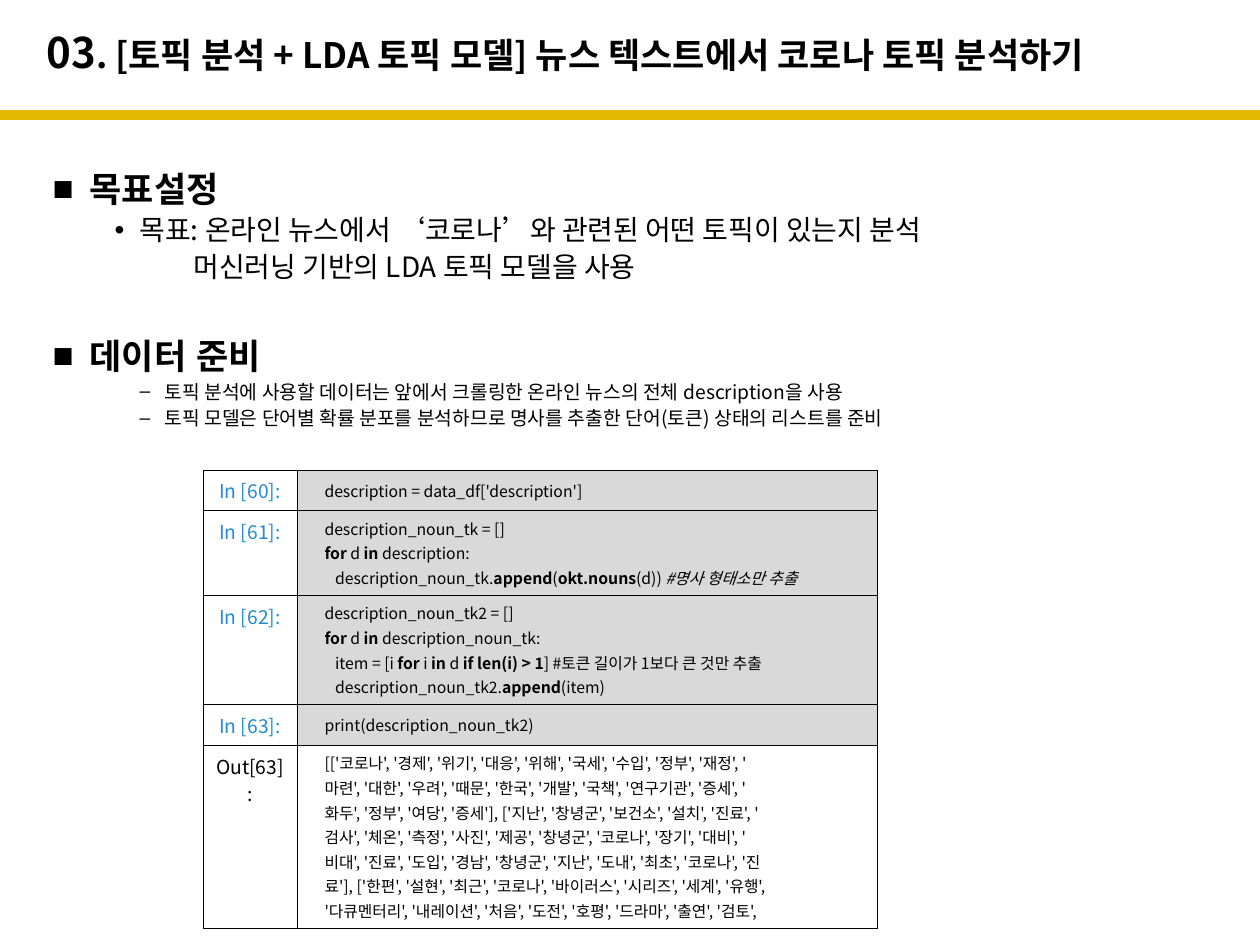
from lxml import etree
from pptx import Presentation
from pptx import util as u
from pptx.dml.color import RGBColor
from pptx.enum import shapes, text
from pptx.oxml.ns import qn

PX_PER_INCH = 126
SANS = "Noto Sans CJK KR"
BLACK, WHITE, GRAY, BLUE, GOLD = "000000", "FFFFFF", "D9D9D9", "258BCD", "E4B902"

BODY = [
    ("목표설정", "heading", 0),
    ("목표: 온라인 뉴스에서 ‘코로나’와 관련된 어떤 토픽이 있는지 분석", "goal", 2),
    ("머신러닝 기반의 LDA 토픽 모델을 사용", "goal_more", 2),
    ("데이터 준비", "heading", 17),
    ("토픽 분석에 사용할 데이터는 앞에서 크롤링한 온라인 뉴스의 전체 description을 사용", "detail", 2),
    ("토픽 모델은 단어별 확률 분포를 분석하므로 명사를 추출한 단어(토큰) 상태의 리스트를 준비", "detail", 2),
]
STYLES = {
    "heading": dict(level=0, margin=37, indent=-37, bullet="■", spacing=1.5,
                    size=20, font="Arial", bold=True),
    "goal": dict(level=1, margin=87, indent=-25, bullet="•", size=16),
    "goal_more": dict(level=1, margin=141, size=16),
    "detail": dict(level=2, margin=112, indent=-25, bullet="–", size=11),
}

BOLD, ITALIC = {"bold": True}, {"italic": True}
CELLS = [
    ("In [60]:", 35, [["description = data_df['description']"]]),
    ("In [61]:", 76, [
        ["description_noun_tk = []"],
        [("for", BOLD), " d ", ("in", BOLD), " description:"],
        ["   description_noun_tk.", ("append", BOLD), "(", ("okt.nouns", BOLD), "(d)) ",
         ("#명사 형태소만 추출", ITALIC)],
    ]),
    ("In [62]:", 98, [
        ["description_noun_tk2 = []"],
        [("for", BOLD), " d ", ("in", BOLD), " description_noun_tk:"],
        ["   item = [i ", ("for", BOLD), " i ", ("in", BOLD), " d ",
         ("if len(i) > 1", BOLD), "] #토큰 길이가 1보다 큰 것만 추출"],
        ["   description_noun_tk2.", ("append", BOLD), "(item)"],
    ]),
    ("In [63]:", 35, [["print(description_noun_tk2)"]]),
    ("Out[63]:", 181, [
        ["[['코로나', '경제', '위기', '대응', '위해', '국세', '수입', '정부', '재정', '"],
        ["마련', '대한', '우려', '때문', '한국', '개발', '국책', '연구기관', '증세', '"],
        ["화두', '정부', '여당', '증세'], ['지난', '창녕군', '보건소', '설치', '진료', '"],
        ["검사', '체온', '측정', '사진', '제공', '창녕군', '코로나', '장기', '대비', '"],
        ["비대', '진료', '도입', '경남', '창녕군', '지난', '도내', '최초', '코로나', '진"],
        ["료'], ['한편', '설현', '최근', '코로나', '바이러스', '시리즈', '세계', '유행',"],
        ["'다큐멘터리', '내레이션', '처음', '도전', '호평', '드라마', '출연', '검토',"],
    ]),
]


def px(n):
    return u.Emu(round(n * 914400 / PX_PER_INCH))


def color(value):
    return RGBColor.from_string(value)


def place(sp, left, top, width, height):
    sp.left, sp.top, sp.width, sp.height = map(px, (left, top, width, height))


def add_text(p, content, size=11, font=SANS, fill=BLACK, bold=False, italic=False):
    r = p.add_run()
    r.text = content
    f = r.font
    f.size, f.name, f.bold, f.italic = u.Pt(size), font, bold, italic
    f.color.rgb = color(fill)
    etree.SubElement(f._element, qn("a:ea"), typeface=font)


def next_paragraph(tf, index):
    return tf.paragraphs[0] if index == 0 else tf.add_paragraph()


def set_indent(p, margin, indent=0, bullet=None):
    pPr = p._p.get_or_add_pPr()
    pPr.set("marL", str(px(margin)))
    pPr.set("indent", str(px(indent)))
    if bullet:
        etree.SubElement(pPr, qn("a:buFont"), typeface="Arial")
        etree.SubElement(pPr, qn("a:buChar"), char=bullet)
    else:
        etree.SubElement(pPr, qn("a:buNone"))


def add_rule(s, y, width):
    line = s.shapes.add_connector(shapes.MSO_CONNECTOR.STRAIGHT, 0, px(y), px(width), px(y))
    line.line.color.rgb = color(GOLD)
    line.line.width = u.Pt(6)
    etree.SubElement(line._element.spPr, qn("a:effectLst"))


def fill_title(sp):
    place(sp, 34, 14, 1197, 76)
    tf = sp.text_frame
    tf.auto_size = text.MSO_AUTO_SIZE.NONE
    tf.vertical_anchor = text.MSO_ANCHOR.MIDDLE
    p = tf.paragraphs[0]
    p.alignment = text.PP_ALIGN.LEFT
    add_text(p, "03", size=24, bold=True)
    add_text(p, ". [토픽 분석 + LDA 토픽 모델] 뉴스 텍스트에서 코로나 토픽 분석하기", size=20, bold=True)


def fill_body(sp):
    place(sp, 40, 140, 1191, 753)
    tf = sp.text_frame
    tf.auto_size = text.MSO_AUTO_SIZE.NONE
    for i, (content, style, before) in enumerate(BODY):
        fmt = dict(STYLES[style])
        p = next_paragraph(tf, i)
        p.level = fmt.pop("level")
        set_indent(p, fmt.pop("margin"), fmt.pop("indent", 0), fmt.pop("bullet", None))
        p.line_spacing = fmt.pop("spacing", 1.0)
        p.space_before, p.space_after = u.Pt(before), u.Pt(0)
        add_text(p, content, **fmt)


def format_cell(cell, fill):
    tcPr = cell._tc.get_or_add_tcPr()
    for side in ("lnL", "lnR", "lnT", "lnB"):
        ln = etree.SubElement(tcPr, qn(f"a:{side}"), w=str(u.Pt(0.25)))
        solid = etree.SubElement(ln, qn("a:solidFill"))
        etree.SubElement(solid, qn("a:srgbClr"), val=BLACK)
    cell.fill.solid()
    cell.fill.fore_color.rgb = color(fill)


def fill_code(cell, lines):
    cell.vertical_anchor = text.MSO_ANCHOR.MIDDLE
    for i, line in enumerate(lines):
        p = next_paragraph(cell.text_frame, i)
        set_indent(p, 15)
        p.space_before = u.Pt(1 if i else 0)
        for run in line:
            content, fmt = (run, {}) if isinstance(run, str) else run
            add_text(p, content, size=9, **fmt)


def add_code_table(s):
    height = sum(row_height for _, row_height, _ in CELLS)
    table = s.shapes.add_table(len(CELLS), 2, px(203), px(470), px(674), px(height)).table
    table.first_row = table.horz_banding = False
    for column, width in zip(table.columns, (94, 580)):
        column.width = px(width)
    for row, (label, row_height, lines) in zip(table.rows, CELLS):
        row.height = px(row_height)
        is_input = label.startswith("In")
        prompt, code = row.cells
        format_cell(prompt, WHITE)
        format_cell(code, GRAY if is_input else WHITE)
        p = prompt.text_frame.paragraphs[0]
        p.alignment = text.PP_ALIGN.CENTER
        add_text(p, label, fill=BLUE if is_input else BLACK)
        fill_code(code, lines)


def main():
    prs = Presentation()
    prs.slide_width, prs.slide_height = px(1260), px(945)
    s = prs.slides.add_slide(prs.slide_layouts[1])
    add_rule(s, 115, 1260)
    fill_title(s.shapes.title)
    fill_body(s.placeholders[1])
    add_code_table(s)
    prs.save("out.pptx")


if __name__ == "__main__":
    main()
